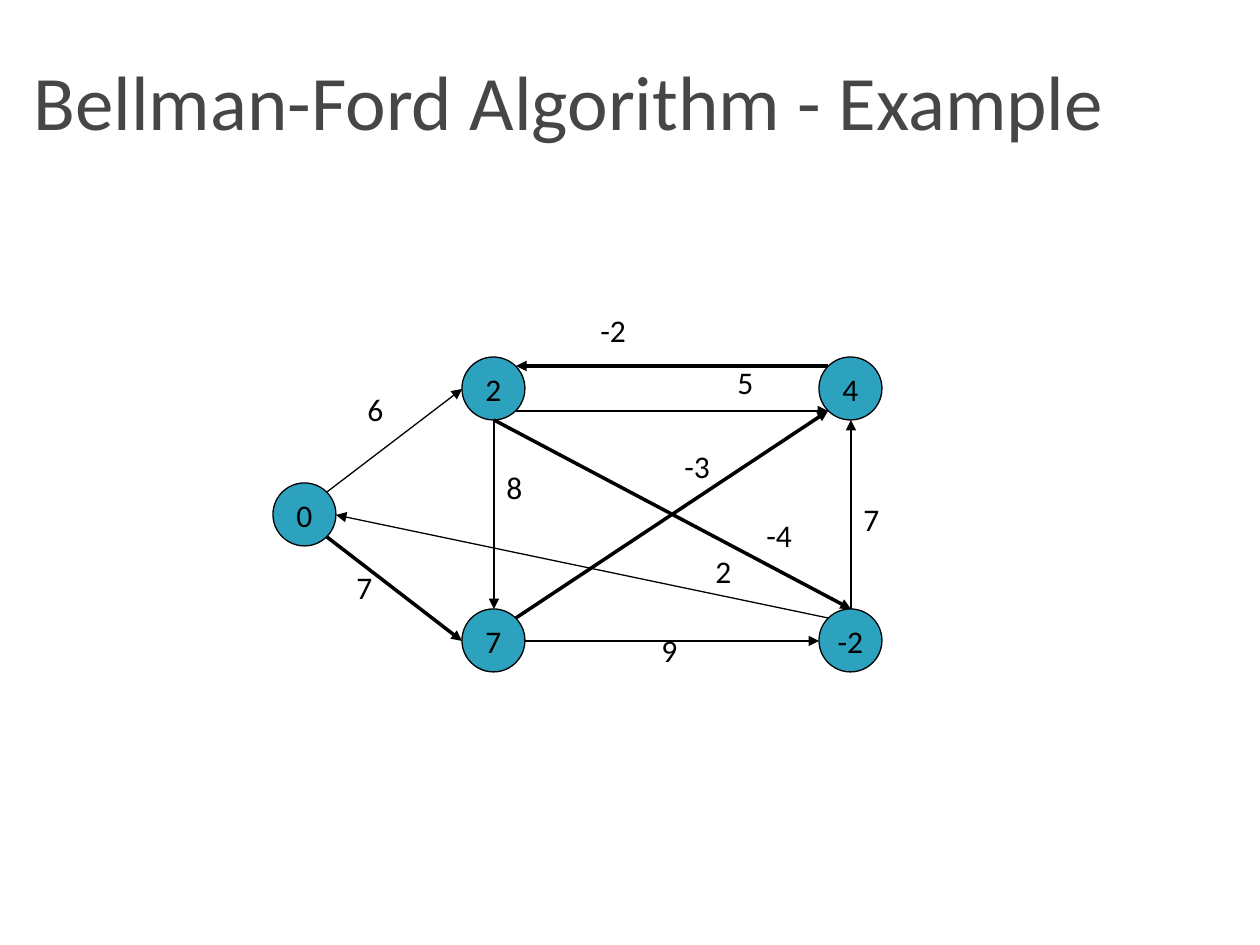
from lxml import etree
from pptx import Presentation, util as u
from pptx.dml.color import RGBColor
from pptx.enum import shapes, text
from pptx.oxml.ns import qn

SCALE = 914400 // 126
INK = "000000"


def rgb(value):
    return RGBColor.from_string(value)


def write(tf, content, size=18, color=INK, align=text.PP_ALIGN.LEFT,
          anchor=text.MSO_ANCHOR.TOP, wrap=False):
    tf.word_wrap = wrap
    tf.vertical_anchor = anchor
    p = tf.paragraphs[0]
    p.alignment = align
    r = p.add_run()
    r.text = content
    r.font.name = "Calibri"
    r.font.size = u.Pt(size)
    r.font.color.rgb = rgb(color)


prs = Presentation()
prs.slide_width, prs.slide_height = u.Inches(10), u.Inches(7.5)
s = prs.slides.add_slide(prs.slide_layouts[5])

title = s.shapes.title
title.left, title.top, title.width, title.height = [v * SCALE for v in (21, 32, 1218, 136)]
write(title.text_frame, "Bellman-Ford Algorithm - Example", size=44, color="464646",
      anchor=text.MSO_ANCHOR.MIDDLE, wrap=True)

D = 63
nodes = {
    "source": (273, 483, "0"),
    "lower left": (462, 609, "7"),
    "upper left": (462, 357, "2"),
    "lower right": (819, 609, "-2"),
    "upper right": (819, 357, "4"),
}
for x, y, distance in nodes.values():
    sp = s.shapes.add_shape(shapes.MSO_SHAPE.FLOWCHART_CONNECTOR,
                            x * SCALE, y * SCALE, D * SCALE, D * SCALE)
    sp.shadow.inherit = False
    sp.fill.solid()
    sp.fill.fore_color.rgb = rgb("2DA2BF")
    sp.line.color.rgb = rgb(INK)
    sp.line.width = u.Pt(0.75)
    write(sp.text_frame, distance, align=text.PP_ALIGN.CENTER,
          anchor=text.MSO_ANCHOR.MIDDLE)

NEAR, MID, FAR = 9, 32, 54
sites = {"n": (MID, 0), "ne": (FAR, NEAR), "e": (D, MID), "se": (FAR, FAR),
         "s": (MID, D), "sw": (NEAR, FAR), "w": (0, MID), "nw": (NEAR, NEAR)}
THIN, BOLD = 0.75, 2
edges = [
    ("source", "ne", "upper left", "w", THIN, "6", 355, 384),
    ("upper left", "se", "upper right", "sw", THIN, "5", 725, 357),
    ("source", "se", "lower left", "w", BOLD, "7", 344, 562),
    ("lower left", "ne", "upper right", "sw", BOLD, "-3", 672, 441),
    ("lower right", "nw", "source", "e", THIN, "2", 703, 546),
    ("lower right", "n", "upper right", "s", THIN, "7", 851, 494),
    ("upper left", "s", "lower left", "n", THIN, "8", 494, 462),
    ("upper right", "nw", "upper left", "ne", BOLD, "-2", 588, 305),
    ("lower left", "e", "lower right", "w", THIN, "9", 649, 625),
    ("upper left", "s", "lower right", "n", BOLD, "-4", 754, 510),
]
for start, out, end, into, width, weight, x, y in edges:
    points = [(nodes[name][i] + sites[site][i]) * SCALE
              for name, site in ((start, out), (end, into)) for i in (0, 1)]
    line = s.shapes.add_connector(shapes.MSO_CONNECTOR.STRAIGHT, *points)
    line.line.color.rgb = rgb(INK)
    line.line.width = u.Pt(width)
    ln = line.line._get_or_add_ln()
    etree.SubElement(ln, qn("a:tailEnd"), type="triangle")
    etree.SubElement(line._element.spPr, qn("a:effectLst"))

    box_width = 47 if len(weight) == 1 else 60
    tb = s.shapes.add_textbox(x * SCALE, y * SCALE, box_width * SCALE, D * SCALE)
    write(tb.text_frame, weight)

prs.save("out.pptx")
